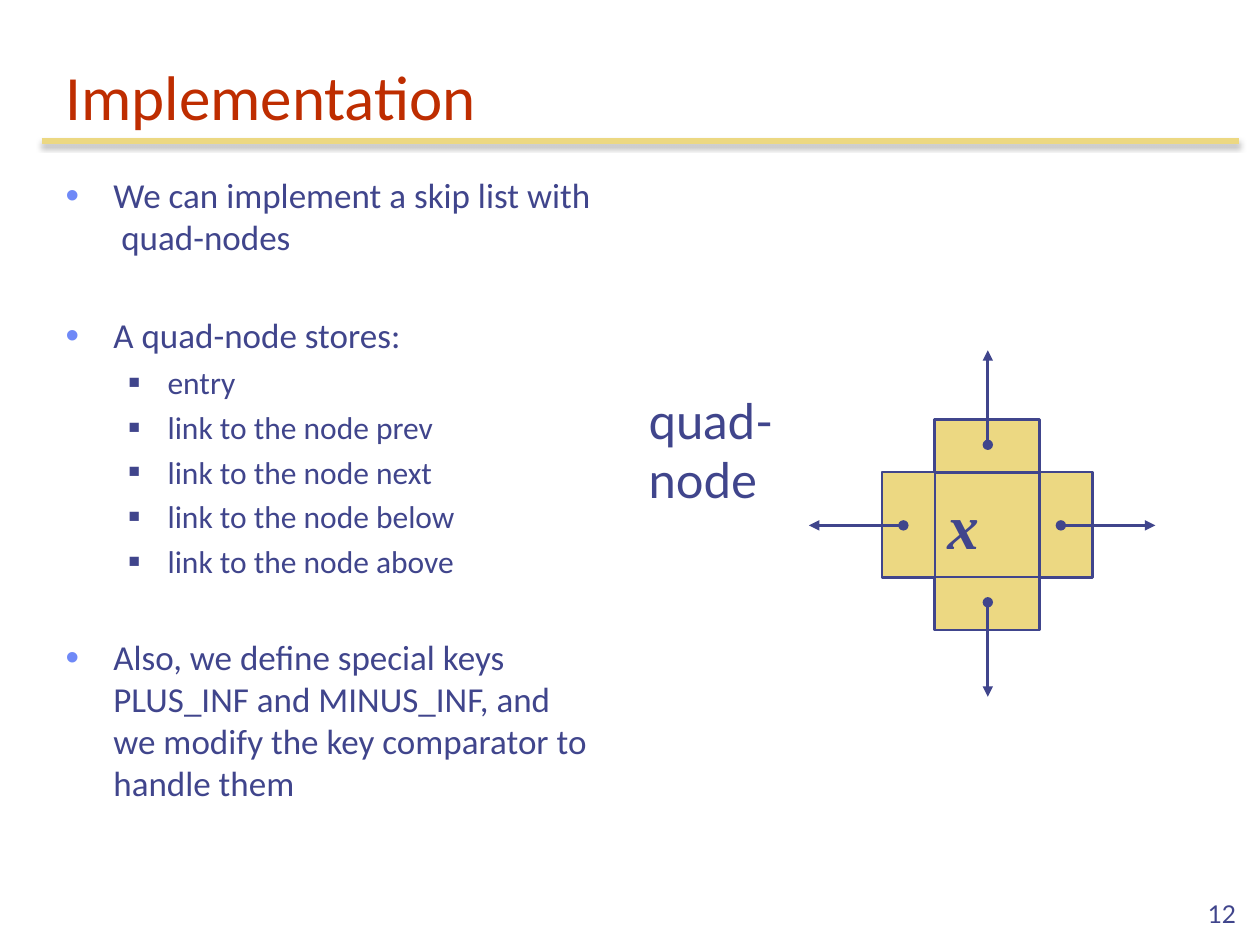
from dataclasses import dataclass

from lxml.etree import SubElement
from pptx import Presentation
from pptx.dml.color import RGBColor
from pptx.enum.shapes import MSO_CONNECTOR as Conn, MSO_SHAPE as Shape
from pptx.enum.text import MSO_ANCHOR as Anchor, MSO_AUTO_SIZE as Fit, PP_ALIGN as Align
from pptx.oxml.ns import qn
from pptx.util import Inches, Pt

RED = RGBColor(0xBE, 0x2D, 0x00)
NAVY = RGBColor(0x40, 0x45, 0x8C)
BLUE = RGBColor(0x6F, 0x89, 0xF7)
GOLD = RGBColor(0xEC, 0xD8, 0x82)

CENTER_X, CENTER_Y = 7.84, 4.17
ARROW = 0.75


@dataclass(frozen=True)
class Level:
    size: int
    margin: float
    hang: float
    bullet: str
    color: RGBColor
    percent: int


@dataclass(frozen=True)
class Item:
    text: str
    level: int = 0
    before: float = 4


@dataclass(frozen=True)
class Link:
    dx: int
    dy: int
    offset: float


LEVELS = [
    Level(20, 0.38, 0.38, "•", BLUE, 110),
    Level(18, 0.81, 0.31, "■", NAVY, 60),
]
ITEMS = [
    Item("We can implement a skip list with  quad-nodes"),
    Item("A quad-node stores:", before=32),
    Item("entry", 1),
    Item("link to the node prev", 1),
    Item("link to the node next", 1),
    Item("link to the node below", 1),
    Item("link to the node above", 1),
    Item("Also, we define special keys PLUS_INF and MINUS_INF, "
         "and we modify the key comparator to handle them", before=32),
]
LINKS = [Link(1, 0, 0.58), Link(-1, 0, 0.67), Link(0, -1, 0.64), Link(0, 1, 0.61)]


def place(sp, left: float, top: float, width: float, height: float) -> None:
    sp.left, sp.top = Inches(left), Inches(top)
    sp.width, sp.height = Inches(width), Inches(height)


def style_run(p, font: str, size: int, color: RGBColor):
    r = p.runs[0]
    r.font.name, r.font.size = font, Pt(size)
    r.font.color.rgb = color
    return r


def add_item(p, item: Item) -> None:
    level = LEVELS[item.level]
    p.text = item.text
    p.level = item.level
    p.alignment = Align.LEFT
    p.space_before = Pt(item.before)
    style_run(p, "Calibri", level.size, NAVY)
    pPr = p._p.get_or_add_pPr()
    pPr.set("marL", str(Inches(level.margin)))
    pPr.set("indent", str(-Inches(level.hang)))
    clr = SubElement(pPr, qn("a:buClr"))
    SubElement(clr, qn("a:srgbClr"), val=str(level.color))
    SubElement(pPr, qn("a:buSzPct"), val=str(level.percent * 1000))
    SubElement(pPr, qn("a:buFont"), typeface="Arial")
    SubElement(pPr, qn("a:buChar"), char=level.bullet)


def add_label(s, text: str, left: float, top: float, width: float, height: float, size: int):
    sp = s.shapes.add_textbox(*map(Inches, (left, top, width, height)))
    tf = sp.text_frame
    tf.word_wrap = True
    tf.text = text
    style_run(tf.paragraphs[0], "Lato", size, NAVY)
    return tf


def add_line(s, x1: float, y1: float, x2: float, y2: float, color: RGBColor, width: float):
    line = s.shapes.add_connector(Conn.STRAIGHT, *map(Inches, (x1, y1, x2, y2)))
    line.line.color.rgb = color
    line.line.width = Pt(width)
    effects = SubElement(line._element.spPr, qn("a:effectLst"))
    return line, effects


def add_rule(s) -> None:
    _, effects = add_line(s, 0.33, 1.12, 9.83, 1.12, GOLD, 3)
    shadow = SubElement(effects, qn("a:outerShdw"), blurRad=str(Pt(3.1)),
                        dist=str(Pt(1.8)), dir="5400000", rotWithShape="0")
    clr = SubElement(shadow, qn("a:srgbClr"), val="000000")
    SubElement(clr, qn("a:alpha"), val="35000")


def add_link(s, link: Link) -> None:
    x = CENTER_X + link.dx * link.offset
    y = CENTER_Y + link.dy * link.offset
    line, _ = add_line(s, x, y, x + link.dx * ARROW, y + link.dy * ARROW, NAVY, 1.5)
    ln = line.line._get_or_add_ln()
    SubElement(ln, qn("a:headEnd"), type="oval")
    SubElement(ln, qn("a:tailEnd"), type="triangle")


def add_box(s, kind: Shape, left: float, top: float, side: float):
    sp = s.shapes.add_shape(kind, *map(Inches, (left, top, side, side)))
    sp.shadow.inherit = False
    sp.fill.solid()
    sp.fill.fore_color.rgb = GOLD
    sp.line.color.rgb = NAVY
    sp.line.width = Pt(1.5)
    return sp


def add_quad_node(s) -> None:
    cross = add_box(s, Shape.CROSS, 7, 3.33, 1.67)
    cross.adjustments[0] = 0.25
    tf = add_box(s, Shape.RECTANGLE, 7.42, 3.75, 0.83).text_frame
    tf.vertical_anchor = Anchor.MIDDLE
    tf.text = "x"
    p = tf.paragraphs[0]
    p.alignment = Align.LEFT
    r = style_run(p, "Times New Roman", 36, NAVY)
    r.font.bold = r.font.italic = True
    for link in LINKS:
        add_link(s, link)


def main() -> None:
    prs = Presentation()
    prs.slide_width, prs.slide_height = Inches(10), Inches(7.5)
    s = prs.slides.add_slide(prs.slide_layouts[1])
    add_rule(s)

    title = s.shapes.title
    place(title, 0.42, 0.33, 9.33, 0.78)
    tf = title.text_frame
    tf.auto_size = Fit.NONE
    tf.vertical_anchor = Anchor.BOTTOM
    tf.text = "Implementation"
    tf.paragraphs[0].alignment = Align.LEFT
    style_run(tf.paragraphs[0], "Calibri", 36, RED)

    body = s.placeholders[1]
    place(body, 0.42, 1.33, 4.42, 5.76)
    tf = body.text_frame
    tf.auto_size = Fit.NONE
    for i, item in enumerate(ITEMS):
        add_item(tf.add_paragraph() if i else tf.paragraphs[0], item)

    number = add_label(s, "12", 7.83, 6.92, 2.08, 0.5, 14)
    number.vertical_anchor = Anchor.BOTTOM
    number.paragraphs[0].alignment = Align.RIGHT

    add_quad_node(s)
    caption = add_label(s, "quad-node", 5.05, 3.05, 2.04, 0.57, 28)
    caption.margin_right = Inches(0.5)
    prs.save("out.pptx")


if __name__ == "__main__":
    main()
